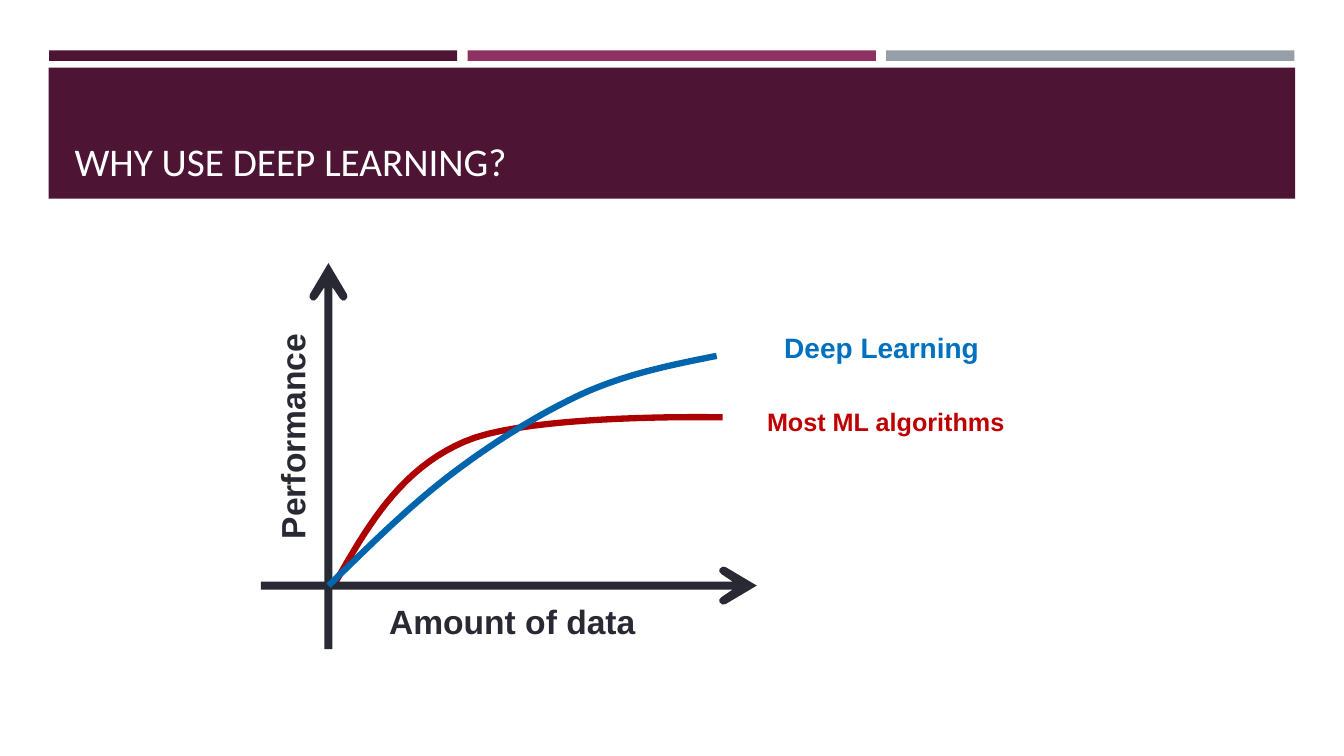
import pptx
import pptx.dml.color
import pptx.enum.shapes
import pptx.enum.text
import pptx.util

COLORS = {
    "plum": "4D1434", "berry": "903163", "grey": "969FA7", "white": "FFFFFF",
    "axis": "292934", "red_curve": "AD0000", "blue_curve": "0065AD",
    "red_label": "C00000", "blue_label": "0070C0",
}
ARROW_HALF = [(22.3, 13.2), (24.5, 13.5), (26.6, 11.9), (26.8, 10), (25.2, 8.2), (17.3, 2.9)]
CURVE_STEPS = 20


class SlideBuilder:
    """Hold the style and the current slide, and add elements measured in points."""

    def __init__(self, slide, colors):
        self.slide = slide
        self.colors = colors

    def color(self, name):
        return pptx.dml.color.RGBColor.from_string(self.colors[name])

    def paint(self, shape, fill):
        shape.shadow.inherit = False
        shape.fill.solid()
        shape.fill.fore_color.rgb = self.color(fill)
        shape.line.fill.background()

    def bar(self, left, top, width, height, fill):
        box = [pptx.util.Pt(value) for value in (left, top, width, height)]
        shape = self.slide.shapes.add_shape(pptx.enum.shapes.MSO_SHAPE.RECTANGLE, *box)
        self.paint(shape, fill)

    def outline(self, points, close):
        start, *rest = [(pptx.util.Pt(x), pptx.util.Pt(y)) for x, y in points]
        builder = self.slide.shapes.build_freeform(*start)
        builder.add_line_segments(rest, close=close)
        return builder.convert_to_shape()

    def axis(self, tip, back, length):
        side = ARROW_HALF + [(length, 2.9)]
        profile = [(0, 0)] + side + [(along, -across) for along, across in reversed(side)]
        points = [
            (tip[0] + along * back[0] + across * back[1],
             tip[1] + along * back[1] + across * back[0])
            for along, across in profile
        ]
        self.paint(self.outline(points, True), "axis")

    def curve(self, knots, color):
        points = [knots[0]]
        for first in range(0, len(knots) - 1, 3):
            segment = knots[first:first + 4]
            for step in range(1, CURVE_STEPS + 1):
                t = step / CURVE_STEPS
                weights = ((1 - t) ** 3, 3 * t * (1 - t) ** 2, 3 * t * t * (1 - t), t ** 3)
                points.append(tuple(
                    sum(weight * knot[i] for weight, knot in zip(weights, segment))
                    for i in (0, 1)
                ))
        shape = self.outline(points, False)
        shape.shadow.inherit = False
        shape.fill.background()
        shape.line.color.rgb = self.color(color)
        shape.line.width = pptx.util.Pt(4.5)

    def text(self, words, left, top, width, height, size, color, font="Arial", bold=True):
        box = [pptx.util.Pt(value) for value in (left, top, width, height)]
        shape = self.slide.shapes.add_textbox(*box)
        frame = shape.text_frame
        frame.word_wrap = True
        frame.margin_left = frame.margin_right = 0
        frame.margin_top = frame.margin_bottom = 0
        run = frame.paragraphs[0].add_run()
        run.text = words
        run.font.name = font
        run.font.size = pptx.util.Pt(size)
        run.font.bold = bold
        run.font.color.rgb = self.color(color)
        return shape

    def label(self, words, left, top, width, height, size, color, rotation=0):
        shape = self.text(words, left, top, width, height, size, color)
        shape.rotation = rotation
        paragraph = shape.text_frame.paragraphs[0]
        paragraph.line_spacing = 1.07
        paragraph.space_after = pptx.util.Pt(8)

    def title(self, words, left, top, width, height):
        shape = self.text(words, left, top, width, height, 28, "white", "Calibri", False)
        shape.text_frame.vertical_anchor = pptx.enum.text.MSO_ANCHOR.BOTTOM


def main():
    presentation = pptx.Presentation()
    presentation.slide_width = pptx.util.Pt(960)
    presentation.slide_height = pptx.util.Pt(540)
    slide = presentation.slides.add_slide(presentation.slide_layouts[6])
    builder = SlideBuilder(slide, COLORS)

    for column, fill in enumerate(("plum", "berry", "grey")):
        builder.bar(35 + 299 * column, 36, 291.6, 7.5, fill)
    builder.bar(34.8, 48.4, 890.4, 93.6, "plum")
    builder.title("WHY USE DEEP LEARNING?", 53.3, 59, 853.9, 72.7)

    builder.curve([(238.3, 418.3), (262.1, 376.6), (285.1, 335.5), (331.9, 315.4),
                   (378, 295.2), (516.2, 298.1), (516.2, 298.1)], "red_curve")
    builder.axis((234.6, 187.9), (0, 1), 275.8)
    builder.axis((540.6, 418.3), (-1, 0), 354.2)
    builder.curve([(234.7, 418.3), (263.5, 390.2), (291.6, 362.2), (321.8, 339.1),
                   (352.1, 316.1), (384.5, 295.9), (415.4, 281.5),
                   (447.1, 267.1), (479.5, 260.6), (511.9, 254.2)], "blue_curve")

    builder.label("Performance", 112.3, 270, 195.1, 35.3, 24, "axis", 270)
    builder.label("Amount of data", 277.9, 427, 234, 35.3, 24, "axis")
    builder.label("Deep Learning", 560.2, 234.7, 185, 29.5, 20, "blue_label")
    builder.label("Most ML algorithms", 547.9, 288.7, 225.4, 26.6, 18, "red_label")

    presentation.save("out.pptx")


if __name__ == "__main__":
    main()
